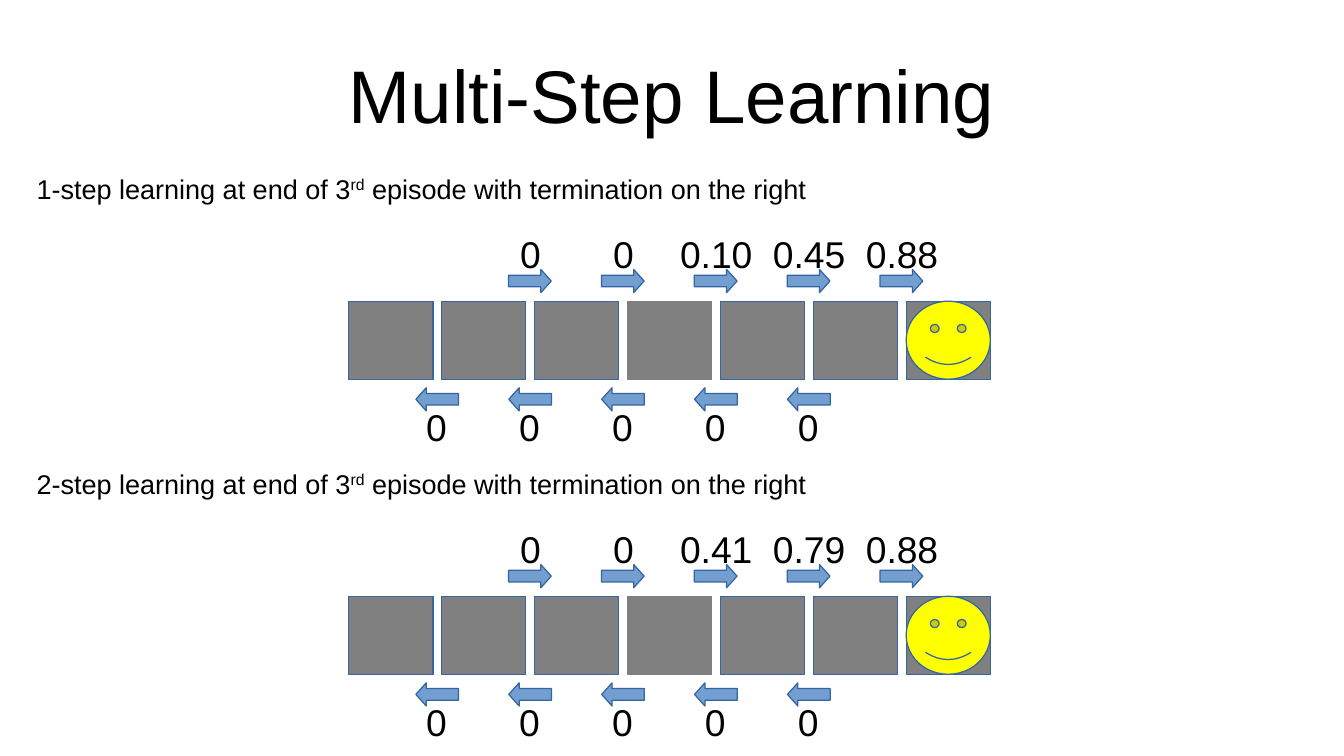
import pptx
import pptx.dml.color
import pptx.enum.shapes
import pptx.enum.text
import pptx.util

Inches = pptx.util.Inches
Shape = pptx.enum.shapes.MSO_SHAPE
Align = pptx.enum.text.PP_ALIGN


def color(value):
    return pptx.dml.color.RGBColor.from_string(value)


class ChainSlide:
    font = "Arial"
    ink = "000000"
    outline = "3465A4"
    cell_gray = "808080"
    arrow_blue = "729FCF"
    smiley_yellow = "FFFF00"
    chain_left = 2.86
    pitch = 4.57 / 6
    cell_size = (0.69, 0.64)

    def __init__(self, slide):
        self.slide = slide

    def text(self, left, top, width, height, parts, size, align=Align.CENTER):
        box = self.slide.shapes.add_textbox(
            Inches(left), Inches(top), Inches(width), Inches(height))
        frame = box.text_frame
        frame.word_wrap = True
        frame.vertical_anchor = pptx.enum.text.MSO_ANCHOR.MIDDLE
        frame.margin_left = frame.margin_right = 0
        frame.margin_top = frame.margin_bottom = 0
        paragraph = frame.paragraphs[0]
        paragraph.alignment = align
        paragraph.font.name = self.font
        paragraph.font.size = pptx.util.Pt(size)
        paragraph.font.color.rgb = color(self.ink)
        for words, raised in parts:
            run = paragraph.add_run()
            run.text = words
            if raised:
                run.font._element.set("baseline", "33000")

    def shape(self, kind, left, top, size, fill, line, adjustments=()):
        width, height = size
        shape = self.slide.shapes.add_shape(
            kind, Inches(left), Inches(top), Inches(width), Inches(height))
        shape.shadow.inherit = False
        shape.fill.solid()
        shape.fill.fore_color.rgb = color(fill)
        shape.line.color.rgb = color(line)
        shape.line.width = 0
        for index, value in enumerate(adjustments):
            shape.adjustments[index] = value

    def cells(self, top):
        for column in range(7):
            line = self.cell_gray if column == 3 else self.outline
            self.shape(Shape.RECTANGLE, self.chain_left + column * self.pitch,
                       top, self.cell_size, self.cell_gray, line)
        self.shape(Shape.SMILEY_FACE, self.chain_left + 6 * self.pitch, top,
                   self.cell_size, self.smiley_yellow, self.outline, [0.093])

    def actions(self, kind, arrow_left, arrow_top, value_left, value_top, values):
        for step, value in enumerate(values):
            shift = step * self.pitch
            self.shape(kind, arrow_left + shift, arrow_top, (0.35, 0.19),
                       self.arrow_blue, self.outline, [0.5, 0.448])
            self.text(value_left + shift, value_top, 0.6, 0.38,
                      [(value, False)], 22)

    def episode(self, top, steps, right_values):
        caption = [(f"{steps}-step learning at end of 3", False), ("rd", True),
                   (" episode with termination on the right", False)]
        self.text(0.3, top, 6.9, 0.7, caption, 16, Align.LEFT)
        self.cells(top + 1.27)
        self.actions(Shape.RIGHT_ARROW, 4.17, top + 1.01,
                     4.05, top + 0.69, right_values)
        self.actions(Shape.LEFT_ARROW, 3.41, top + 1.98,
                     3.28, top + 2.11, ["0"] * 5)


def main():
    deck = pptx.Presentation()
    deck.slide_width = Inches(11.02)
    deck.slide_height = Inches(6.2)
    chain = ChainSlide(deck.slides.add_slide(deck.slide_layouts[6]))
    chain.text(0.55, 0.25, 9.92, 1.04, [("Multi-Step Learning", False)], 44)
    chain.episode(1.2, 1, ["0", "0", "0.10", "0.45", "0.88"])
    chain.episode(3.62, 2, ["0", "0", "0.41", "0.79", "0.88"])
    deck.save("out.pptx")


if __name__ == "__main__":
    main()
